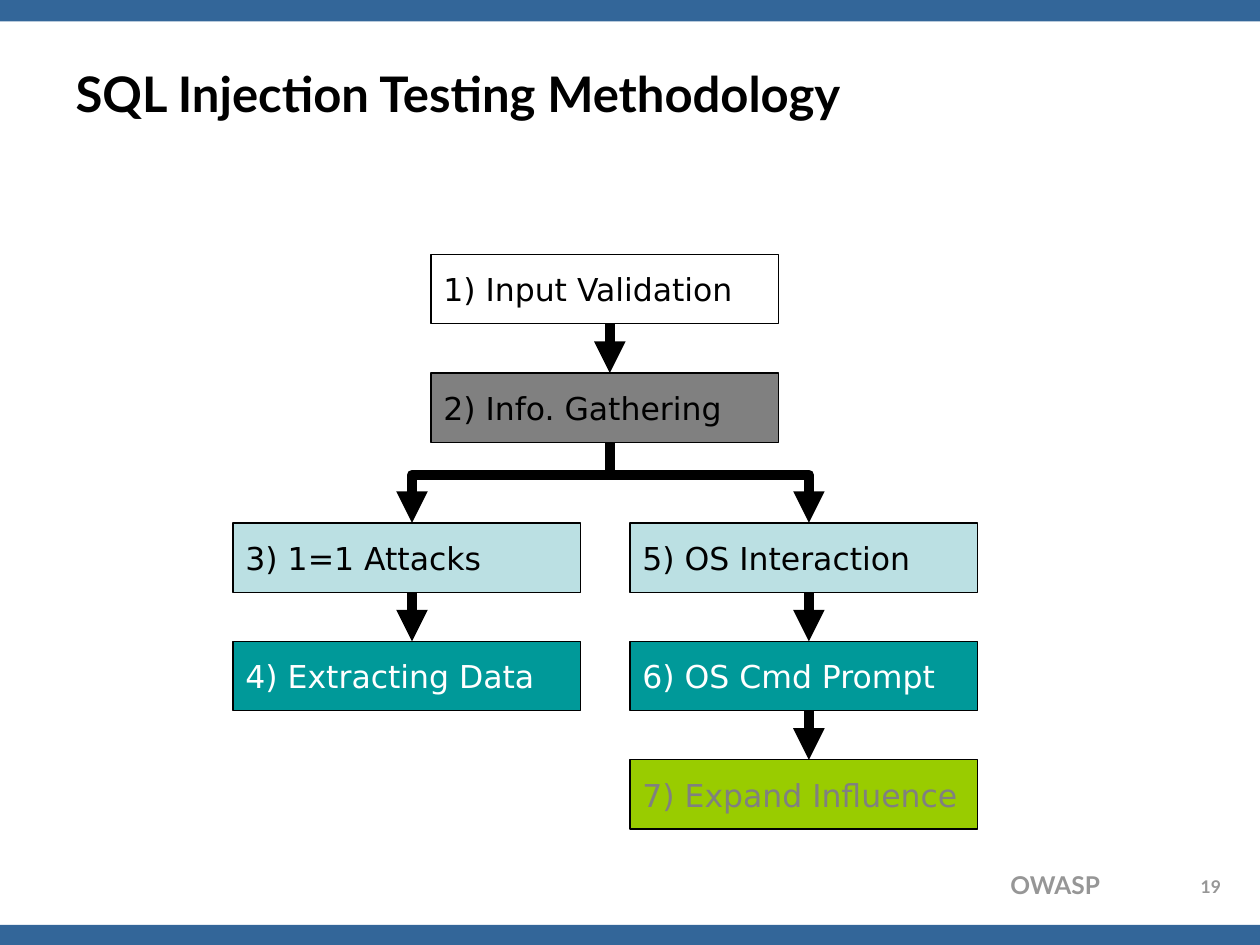
from dataclasses import dataclass
from itertools import pairwise

from lxml import etree
from pptx import Presentation
from pptx.dml.color import RGBColor
from pptx.enum import shapes, text
from pptx.oxml.ns import qn
from pptx.util import Inches, Pt


@dataclass(frozen=True)
class Theme:
    band: str = "336699"
    muted: str = "969696"
    black: str = "000000"
    white: str = "FFFFFF"
    gray: str = "808080"
    pale: str = "BBE0E3"
    teal: str = "009999"
    green: str = "99CC00"
    heading_font: str = "Lato"
    step_font: str = "DejaVu Sans"
    title_size: int = 28
    step_size: int = 18
    footer_size: int = 14
    number_size: int = 10
    border: float = 0.75
    arrow: float = 6


BOX_WIDTH, BOX_HEIGHT = 2.76, 0.55
ROW_STEP = 0.94
ARROW_OFFSET = 1.42


class MethodologySlide:
    def __init__(self, deck, theme):
        self.theme = theme
        self.slide = deck.slides.add_slide(deck.slide_layouts[5])

    def add_words(self, frame, words, size, color, font, bold=False,
                  align=text.PP_ALIGN.LEFT):
        paragraph = frame.paragraphs[0]
        paragraph.alignment = align
        run = paragraph.add_run()
        run.text = words
        run.font.size = Pt(size)
        run.font.name = font
        run.font.bold = bold
        run.font.color.rgb = RGBColor.from_string(color)

    def rectangle(self, left, top, width, height, fill):
        box = self.slide.shapes.add_shape(
            shapes.MSO_SHAPE.RECTANGLE,
            Inches(left), Inches(top), Inches(width), Inches(height))
        box.shadow.inherit = False
        box.fill.solid()
        box.fill.fore_color.rgb = RGBColor.from_string(fill)
        box.line.fill.background()
        return box

    def title(self, words):
        heading = self.slide.shapes.title
        heading.left, heading.top = Inches(0.5), Inches(0.3)
        heading.width, heading.height = Inches(9), Inches(0.87)
        heading.text_frame.vertical_anchor = text.MSO_ANCHOR.MIDDLE
        self.add_words(heading.text_frame, words, self.theme.title_size,
                       self.theme.black, self.theme.heading_font, True)

    def footer(self, words, left, top, width, height, size, align):
        label = self.slide.shapes.add_textbox(
            Inches(left), Inches(top), Inches(width), Inches(height))
        label.text_frame.word_wrap = True
        self.add_words(label.text_frame, words, size, self.theme.muted,
                       self.theme.heading_font, True, align)

    def step(self, words, left, top, fill, color):
        box = self.rectangle(left, top, BOX_WIDTH, BOX_HEIGHT, fill)
        box.line.color.rgb = RGBColor.from_string(self.theme.black)
        box.line.width = Pt(self.theme.border)
        box.text_frame.word_wrap = False
        box.text_frame.vertical_anchor = text.MSO_ANCHOR.MIDDLE
        self.add_words(box.text_frame, words, self.theme.step_size, color,
                       self.theme.step_font)

    def style_arrow(self, arrow):
        arrow.line.color.rgb = RGBColor.from_string(self.theme.black)
        arrow.line.width = Pt(self.theme.arrow)
        outline = arrow.line._get_or_add_ln()
        etree.SubElement(outline, qn("a:round"))
        etree.SubElement(outline, qn("a:tailEnd"), type="triangle")

    def arrow(self, x, top, bottom):
        connector = self.slide.shapes.add_connector(
            shapes.MSO_CONNECTOR.STRAIGHT,
            Inches(x), Inches(top), Inches(x), Inches(bottom))
        self.style_arrow(connector)
        etree.SubElement(connector._element.spPr, qn("a:effectLst"))

    def branch(self, start_x, top, end_x, bottom):
        bend = top + 0.26
        corners = [(start_x, bend), (end_x, bend), (end_x, bottom)]
        builder = self.slide.shapes.build_freeform(
            Inches(start_x), Inches(top), scale=1.0)
        builder.add_line_segments(
            [(Inches(x), Inches(y)) for x, y in corners], close=False)
        elbow = builder.convert_to_shape()
        elbow.shadow.inherit = False
        elbow.fill.background()
        self.style_arrow(elbow)


def main():
    theme = Theme()
    deck = Presentation()
    deck.slide_width, deck.slide_height = Inches(10), Inches(7.5)
    page = MethodologySlide(deck, theme)

    for band_top in (0, 7.34):
        page.rectangle(0, band_top, 10, 0.17, theme.band)
    page.footer("OWASP", 6.22, 6.86, 2.61, 0.34, theme.footer_size,
                text.PP_ALIGN.RIGHT)
    page.footer("19", 9.39, 6.9, 0.44, 0.25, theme.number_size,
                text.PP_ALIGN.CENTER)
    page.title("SQL Injection Testing Methodology")

    preparation = [
        ("1) Input Validation", theme.white, theme.black),
        ("2) Info. Gathering", theme.gray, theme.black),
    ]
    data_attacks = [
        ("3) 1=1 Attacks", theme.pale, theme.black),
        ("4) Extracting Data", theme.teal, theme.white),
    ]
    system_attacks = [
        ("5) OS Interaction", theme.pale, theme.black),
        ("6) OS Cmd Prompt", theme.teal, theme.white),
        ("7) Expand Influence", theme.green, theme.gray),
    ]
    root_left, root_top = 3.42, 2.02
    attack_top = 4.15
    chains = [
        (root_left, root_top, preparation),
        (1.85, attack_top, data_attacks),
        (5, attack_top, system_attacks),
    ]
    for left, first_top, steps in chains:
        tops = [first_top + ROW_STEP * row for row in range(len(steps))]
        for top, (words, fill, color) in zip(tops, steps):
            page.step(words, left, top, fill, color)
        for upper, lower in pairwise(tops):
            page.arrow(left + ARROW_OFFSET, upper + BOX_HEIGHT, lower)

    fork_top = root_top + ROW_STEP + BOX_HEIGHT
    for left, first_top, _ in chains[1:]:
        page.branch(root_left + ARROW_OFFSET, fork_top,
                    left + ARROW_OFFSET, first_top)

    deck.save("out.pptx")


if __name__ == "__main__":
    main()
